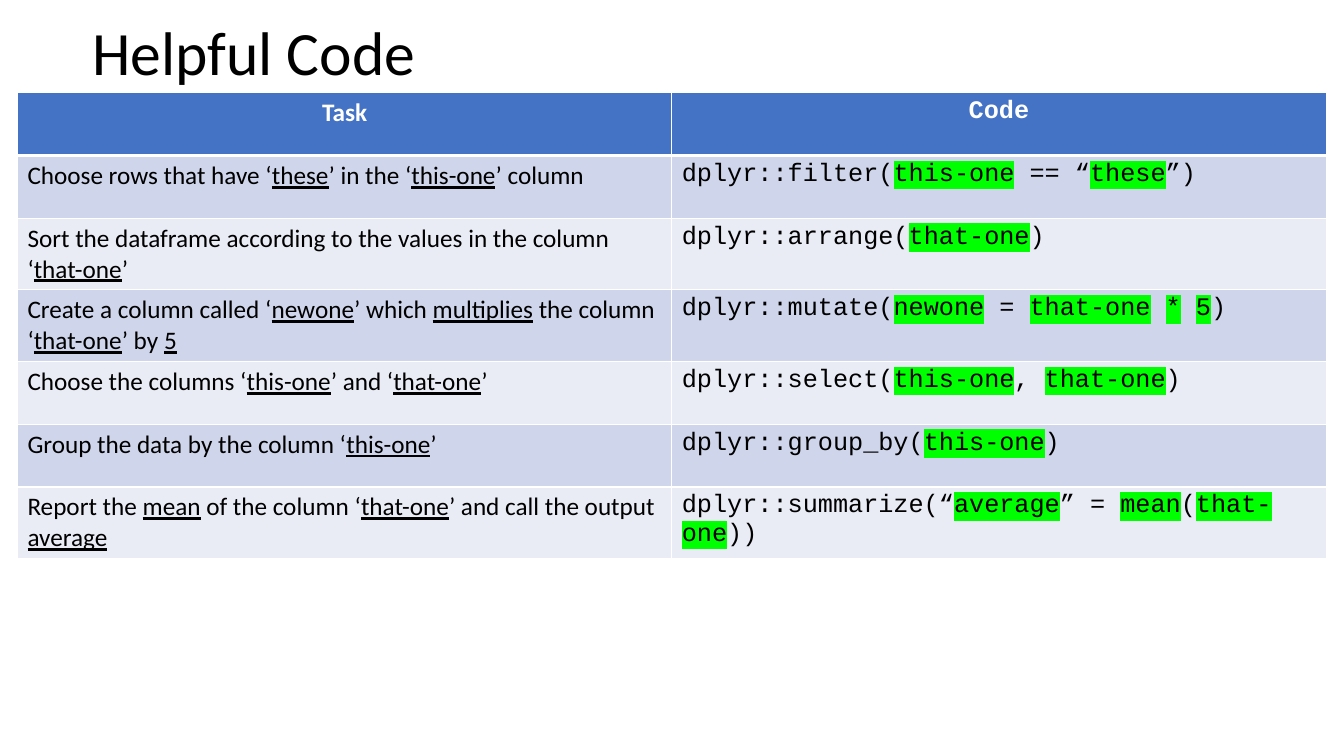
from lxml import etree
from pptx import Presentation
from pptx.dml.color import RGBColor
from pptx.enum import text
from pptx.oxml.ns import qn
from pptx.util import Cm, Pt

COLORS = {"header": "4472C4", "odd": "CFD5EA", "even": "E9EBF5",
          "white": "FFFFFF", "black": "000000", "mark": "00FF00"}

# Bars enclose the words to underline (task) or highlight (code)
ROWS = [
    ("Task", "Code"),
    ("Choose rows that have ‘|these|’ in the ‘|this-one|’ column",
     "dplyr::filter(|this-one| == “|these|”)"),
    ("Sort the dataframe according to the values in the column ‘|that-one|’",
     "dplyr::arrange(|that-one|)"),
    ("Create a column called ‘|newone|’ which |multiplies| the column ‘|that-one|’ by |5|",
     "dplyr::mutate(|newone| = |that-one| |*| |5|)"),
    ("Choose the columns ‘|this-one|’ and ‘|that-one|’",
     "dplyr::select(|this-one|, |that-one|)"),
    ("Group the data by the column ‘|this-one|’",
     "dplyr::group_by(|this-one|)"),
    ("Report the |mean| of the column ‘|that-one|’ and call the output |average|",
     "dplyr::summarize(“|average|” = |mean|(|that-one|))"),
]


def add_color(parent, tag, color):
    el = etree.SubElement(parent, qn(tag))
    etree.SubElement(el, qn("a:srgbClr"), val=COLORS[color])


def set_borders(cell, bottom):
    tcPr = cell._tc.get_or_add_tcPr()
    for side, width in (("L", 1), ("R", 1), ("T", 1), ("B", bottom)):
        ln = etree.SubElement(tcPr, qn(f"a:ln{side}"), w=str(Pt(width)))
        add_color(ln, "a:solidFill", "white")


prs = Presentation()
prs.slide_width, prs.slide_height = Cm(33.87), Cm(19.05)
s = prs.slides.add_slide(prs.slide_layouts[5])

# Title
title = s.shapes.title
title.left, title.top, title.width, title.height = Cm(2.08), Cm(0), Cm(29.21), Cm(2.79)
tf = title.text_frame
tf.text = "Helpful Code"
tf.vertical_anchor = text.MSO_ANCHOR.MIDDLE
p = tf.paragraphs[0]
p.alignment = text.PP_ALIGN.LEFT
p.line_spacing = 0.9
p.font.name, p.font.size = "Calibri", Pt(44)
p.font.color.rgb = RGBColor.from_string(COLORS["black"])

# Table of tasks and code
row_height = Cm(1.58)
table = s.shapes.add_table(len(ROWS), 2, Cm(0.44), Cm(2.34), Cm(32.98),
                           row_height * len(ROWS)).table
for i, row in enumerate(ROWS):
    table.rows[i].height = row_height
    header = i == 0
    fill = "header" if header else "odd" if i % 2 else "even"
    for j, content in enumerate(row):
        cell = table.cell(i, j)
        set_borders(cell, 3 if header else 1)
        cell.fill.solid()
        cell.fill.fore_color.rgb = RGBColor.from_string(COLORS[fill])
        p = cell.text_frame.paragraphs[0]
        if header:
            p.alignment = text.PP_ALIGN.CENTER
        for k, part in enumerate(content.split("|")):
            if not part:
                continue
            r = p.add_run()
            r.text = part
            r.font.size, r.font.bold = Pt(18), header
            r.font.color.rgb = RGBColor.from_string(COLORS["white" if header else "black"])
            if k % 2 and j == 0:
                r.font.underline = True
            elif k % 2:
                add_color(r.font._element, "a:highlight", "mark")
            r.font.name = ("Calibri", "Courier New")[j]

prs.save("out.pptx")
